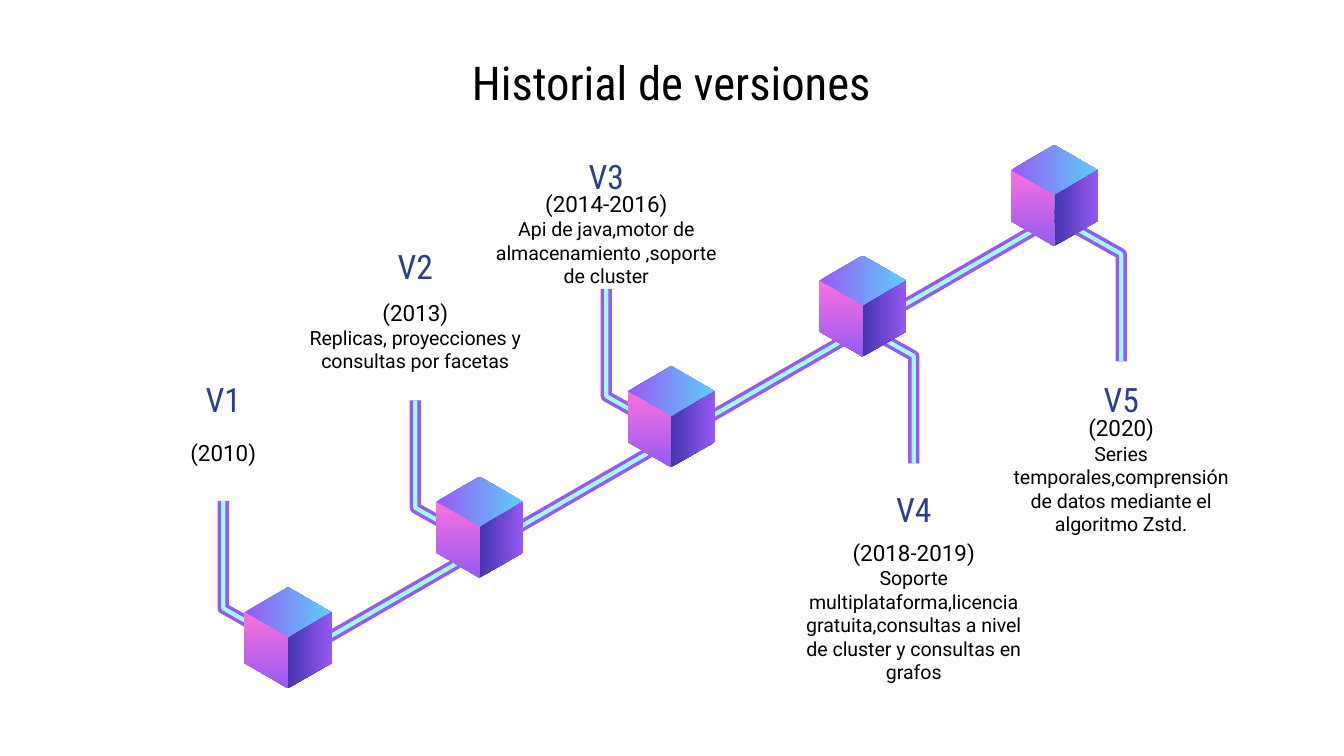
from lxml import etree
from pptx import Presentation
from pptx.dml.color import RGBColor
from pptx.enum.shapes import MSO_CONNECTOR
from pptx.enum.text import MSO_ANCHOR, MSO_AUTO_SIZE, PP_ALIGN
from pptx.oxml.ns import qn
from pptx.util import Cm, Pt

STRAIGHT = MSO_CONNECTOR.STRAIGHT
MIDDLE = MSO_ANCHOR.MIDDLE
NO_AUTOFIT = MSO_AUTO_SIZE.NONE
CENTER = PP_ALIGN.CENTER

HEADING_FONT, BODY_FONT = "Roboto Condensed", "Roboto"
BLACK, NAVY = "000000", "293E8D"
PURPLE, AQUA, SKY, PINK, INDIGO = "9659F4", "A0FDF1", "5CCFFB", "FA72DC", "4335AF"
TUBE = ((PURPLE, 6), (AQUA, 2.25))  # wide edge, then narrow core

# All lengths are in centimetres.
CUBE_W, CUBE_H = 1.65, 1.91
FIRST_CUBE = (4.62, 11.1)
CUBE_STEP = (3.62, -2.09)
LABEL_W = 4.88
STEM_W, STEM_H, STEM_ELBOW = 1.32, 2.77, 2.03

# name, year, description, label left, heading (top, height),
# details (top, height), stem tip y, stem direction (1 down, -1 up)
VERSIONS = [
    ("V1", "(2010)", "", 1.78, (7.19, 0.71), (7.87, 1.37), 9.47, 1),
    ("V2", "(2013)", "Replicas, proyecciones y consultas por facetas",
     5.41, (4.67, 0.71), (5.64, 1.42), 7.57, 1),
    ("V3", "(2014-2016)", "Api de java,motor de almacenamiento ,soporte de cluster",
     9.02, (2.97, 0.71), (3.81, 1.42), 5.46, 1),
    ("V4", "(2018-2019)", "Soporte multiplataforma,licencia gratuita,consultas "
     "a nivel de cluster y consultas en grafos",
     14.83, (8.99, 1.27), (10.31, 2.49), 8.76, -1),
    ("V5", "(2020)", "Series temporales,comprensión de datos mediante el algoritmo Zstd.",
     18.75, (7.06, 0.97), (8.0, 1.96), 6.83, -1),
]


def rgb(color):
    return RGBColor.from_string(color)


def write(paragraph, text, font=BODY_FONT, size=10.5, color=BLACK):
    paragraph.alignment = CENTER
    run = paragraph.add_run()
    run.text = text
    run.font.name = font
    run.font.size = Pt(size)
    run.font.color.rgb = rgb(color)


def prepare_frame(shape):
    frame = shape.text_frame
    frame.word_wrap = True
    frame.auto_size = NO_AUTOFIT
    frame.vertical_anchor = MIDDLE
    frame.margin_left = frame.margin_right = Cm(0.25)
    frame.margin_top = frame.margin_bottom = Cm(0.25)
    return frame


def add_text_frame(slide, left, top, width, height):
    return prepare_frame(
        slide.shapes.add_textbox(Cm(left), Cm(top), Cm(width), Cm(height)))


def add_outline(slide, points, close):
    start, *rest = [(Cm(x), Cm(y)) for x, y in points]
    builder = slide.shapes.build_freeform(*start, scale=1.0)
    builder.add_line_segments(rest, close=close)
    outline = builder.convert_to_shape()
    outline.shadow.inherit = False
    return outline


def add_title(slide, left, top, width, height):
    title = slide.shapes.title
    title.left, title.top = Cm(left), Cm(top)
    title.width, title.height = Cm(width), Cm(height)
    write(prepare_frame(title).paragraphs[0], "Historial de versiones",
          font=HEADING_FONT, size=25)


def add_stem(slide, tip_x, tip_y, direction):
    points = [(tip_x, tip_y),
              (tip_x, tip_y + direction * STEM_ELBOW),
              (tip_x + direction * STEM_W, tip_y + direction * STEM_H)]
    for color, width in TUBE:
        stem = add_outline(slide, points, close=False)
        stem.fill.background()
        stem.line.color.rgb = rgb(color)
        stem.line.width = Pt(width)


def add_axis(slide, start, end):
    for color, width in TUBE:
        axis = slide.shapes.add_connector(
            STRAIGHT, *(Cm(value) for value in (*start, *end)))
        axis.line.color.rgb = rgb(color)
        axis.line.width = Pt(width)
        etree.SubElement(axis._element.spPr, qn("a:effectLst"))


def add_cube(slide, left, top, width, height):
    middle, right = left + width / 2, left + width
    upper, centre = top + height / 4, top + height / 2
    lower, bottom = top + height * 3 / 4, top + height
    faces = [
        ([(middle, centre), (left, upper), (middle, top), (right, upper)],
         PURPLE, SKY, 0),
        ([(left, upper), (left, lower), (middle, bottom), (middle, centre)],
         PINK, PURPLE, 270),
        ([(right, upper), (middle, centre), (middle, bottom), (right, lower)],
         INDIGO, PURPLE, 0),
    ]
    for points, first, last, angle in faces:
        face = add_outline(slide, points, close=True)
        face.line.fill.background()
        face.fill.gradient()
        face.fill.gradient_angle = angle
        for stop, color in zip(face.fill.gradient_stops, (first, last)):
            stop.color.rgb = rgb(color)


def add_label(slide, left, heading_box, details_box, name, year, description):
    heading = add_text_frame(slide, left, heading_box[0], LABEL_W, heading_box[1])
    write(heading.paragraphs[0], name, font=HEADING_FONT, size=18, color=NAVY)
    details = add_text_frame(slide, left, details_box[0], LABEL_W, details_box[1])
    write(details.paragraphs[0], year, size=12)
    if description:
        write(details.add_paragraph(), description)


def main():
    prs = Presentation()
    prs.slide_width, prs.slide_height = Cm(25.4), Cm(14.29)
    slide = prs.slides.add_slide(prs.slide_layouts[5])
    add_title(slide, 1.42, 0.84, 22.53, 1.42)

    for _, _, _, left, _, _, tip_y, direction in VERSIONS:
        add_stem(slide, left + LABEL_W / 2, tip_y, direction)

    cubes = [(FIRST_CUBE[0] + i * CUBE_STEP[0], FIRST_CUBE[1] + i * CUBE_STEP[1])
             for i in range(len(VERSIONS))]
    ends = [(x + 0.72, y + 1.45) for x, y in (cubes[-1], cubes[0])]
    add_axis(slide, *ends)
    for x, y in cubes:
        add_cube(slide, x, y, CUBE_W, CUBE_H)

    for name, year, description, left, heading_box, details_box, _, _ in VERSIONS:
        add_label(slide, left, heading_box, details_box, name, year, description)
    prs.save("out.pptx")


if __name__ == "__main__":
    main()
